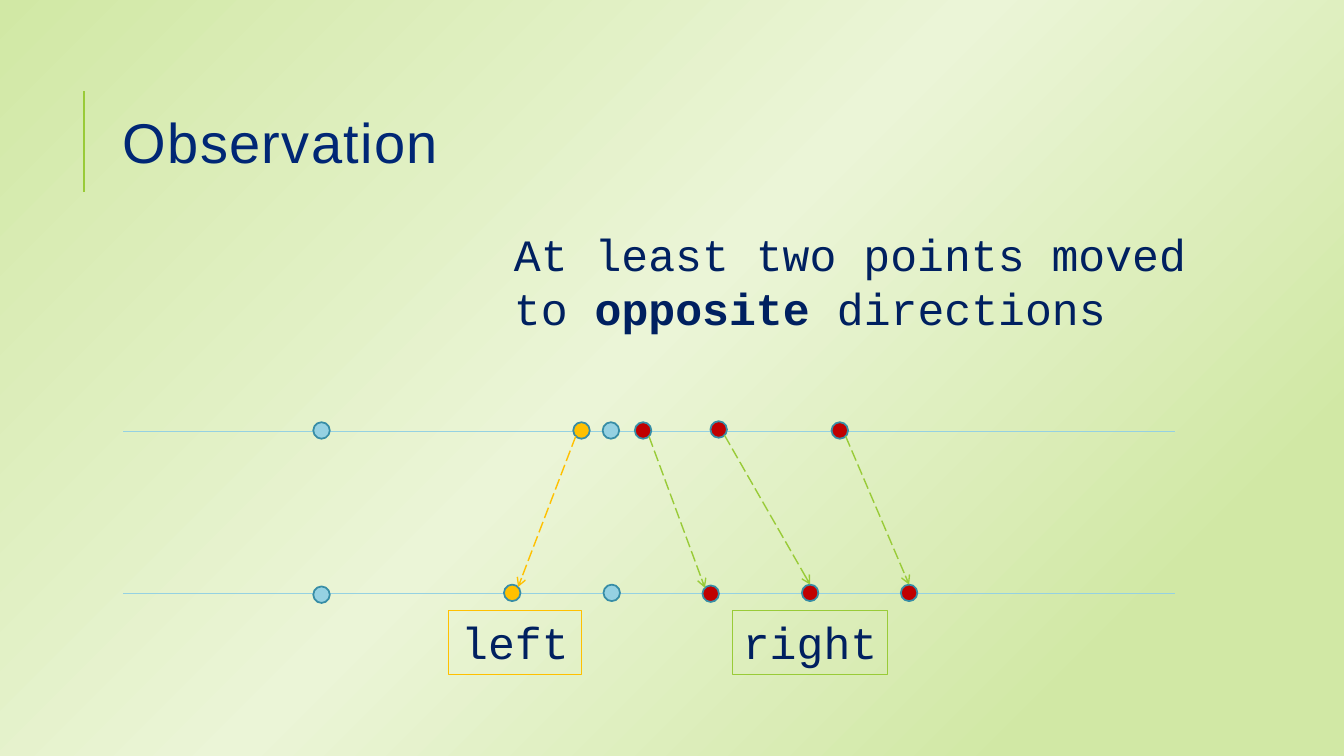
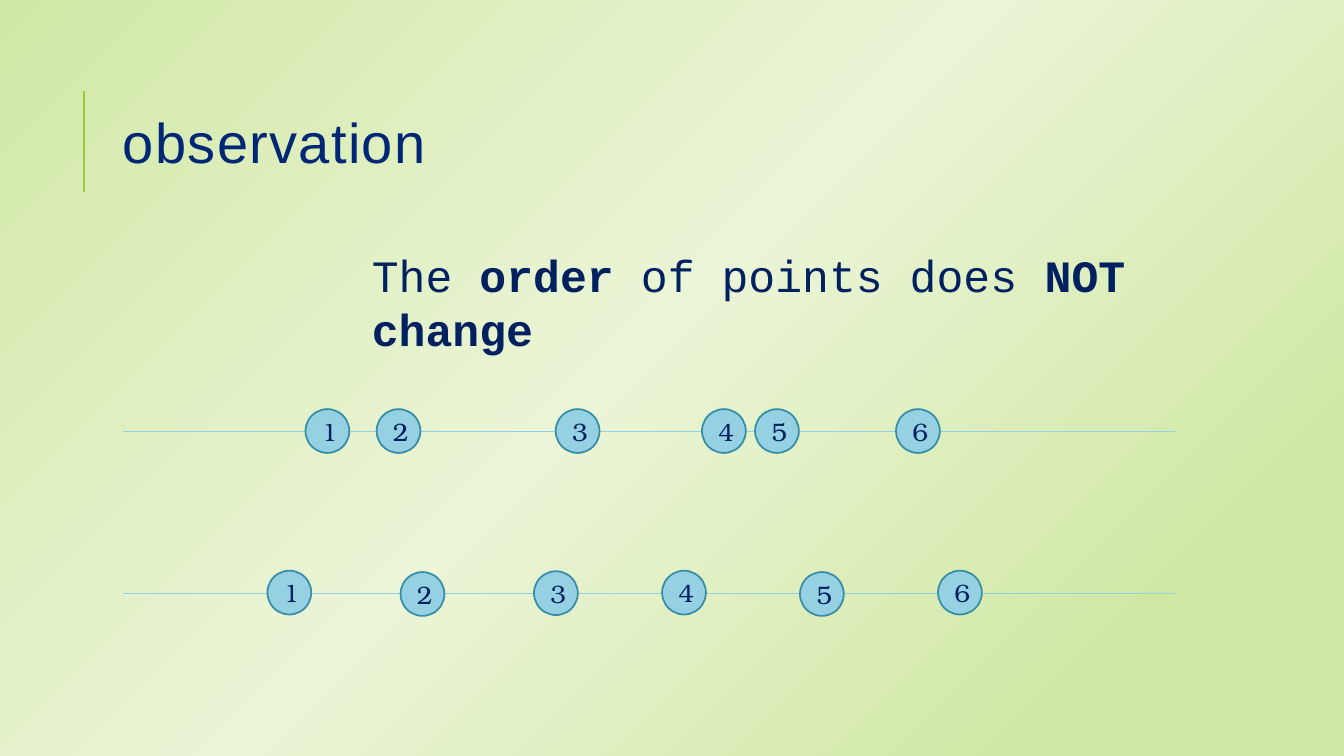
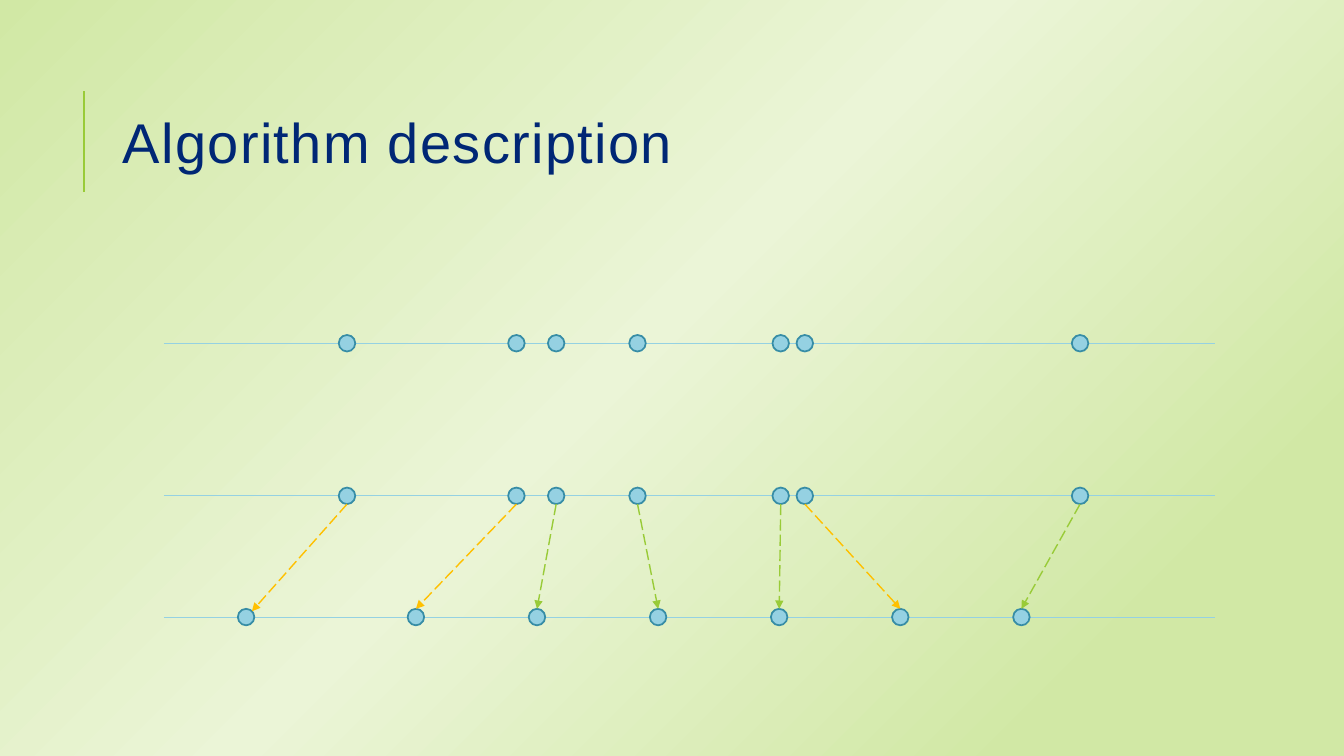
from math import sqrt

from lxml.etree import SubElement
from pptx import Presentation
from pptx.dml.color import RGBColor
from pptx.enum.dml import MSO_LINE
from pptx.enum.shapes import MSO_CONNECTOR, MSO_SHAPE
from pptx.enum.text import MSO_ANCHOR, MSO_AUTO_SIZE, PP_ALIGN
from pptx.oxml.ns import qn
from pptx.util import Pt

# Content: tracks hold a line height and dots (x, y, colour[, label]);
# moves join a dot of one track to a dot of the next, from site to site.
MIXED_START = [
    (229.7, 307.5, "sky"), (415.4, 307.5, "gold"), (436.4, 307.5, "sky"),
    (459.4, 307.5, "red"), (513.4, 306.8, "red"), (599.9, 307.5, "red"),
]
MIXED_END = [
    (229.7, 424.8, "sky"), (365.9, 423.5, "gold"), (437, 423.5, "sky"),
    (507.7, 424.1, "red"), (578.7, 423.5, "red"), (649.4, 423.5, "red"),
]
ORDER_START = [(x, 307.9, "sky", str(n)) for n, x in
               enumerate((233.9, 284.7, 412.6, 517.1, 555, 655.7), 1)]
ORDER_END = [(x, y, "sky", str(n)) for n, (x, y) in
             enumerate([(206.7, 423.3), (301.8, 424.3), (397.1, 423.7),
                        (488.6, 423.3), (587.1, 424.3), (685.7, 423.3)], 1)]
UNEVEN_X = (247.9, 368.9, 397.3, 455.4, 557.7, 574.9, 771.5)
EVEN_FIRST, EVEN_STEP = 297.1, 86.5
EVEN_X = [175.8] + [EVEN_FIRST + EVEN_STEP * n for n in range(6)]

SLIDES = [
    {
        "title": "Observation",
        "track_left": 88, "dot_size": 11.8, "head": "arrow",
        "tracks": [(308.2, MIXED_START), (424.2, MIXED_END)],
        "moves": [(0, 1, "gold", "bottom left", "top right"),
                  (0, 3, "green", "bottom right", "top left"),
                  (0, 4, "green", "bottom right", "top"),
                  (0, 5, "green", "bottom right", "top")],
        "statement": ((360, 158.4, 531.4, 85),
                      [("At least two points moved to ", False),
                       ("opposite", True), (" directions", False)]),
        "labels": [("left", "gold", (320.4, 435.8, 95, 46)),
                   ("right", "green", (523.2, 435.8, 111, 46))],
    },
    {
        "title": "observation",
        "track_left": 88, "dot_size": 31.3,
        "tracks": [(308.2, ORDER_START), (424.2, ORDER_END)],
        "statement": ((258.5, 173.5, 657.4, 46),
                      [("The ", False), ("order", True),
                       (" of points does ", False), ("NOT change", True)]),
    },
    {
        "title": "Algorithm description",
        "track_left": 117, "dot_size": 11.8, "head": "triangle",
        "tracks": [(245.4, [(x, 245.2, "sky") for x in UNEVEN_X]),
                   (354.1, [(x, 354.2, "sky") for x in UNEVEN_X]),
                   (441.2, [(x, 440.8, "sky") for x in EVEN_X])],
        "moves": [(1, n, "gold" if n in (0, 1, 5) else "green", "bottom",
                   "top" if n else "top right") for n in range(len(EVEN_X))],
    },
]


# Theme
class Theme:
    size = (960, 540)
    colours = {name: RGBColor.from_string(code) for name, code in {
        "sky": "95D1E2", "sky edge": "378DA6", "gold": "FFC000",
        "green": "99CB38", "red": "C00000", "title": "002775",
        "ink": "002060"}.items()}
    background = [(0, "D1E8A5"), (47, "EBF5D7"), (84, "D1E8A5")]
    title_box = (80.6, 46.1, 765.4, 118.1)
    accent = (60, 136.8, 60, 64.8)
    track_width = 751
    title_font = {"name": "Arial", "size": Pt(40)}
    body_font = {"name": "Courier New", "size": Pt(32)}
    number_font = {"name": "TeX Gyre Bonum", "size": Pt(18)}


DIAGONAL = 1 / sqrt(2)
SITES = {"top": (0, -1), "bottom": (0, 1),
         "top left": (-DIAGONAL, -DIAGONAL), "top right": (DIAGONAL, -DIAGONAL),
         "bottom left": (-DIAGONAL, DIAGONAL),
         "bottom right": (DIAGONAL, DIAGONAL)}


def points(values):
    return [Pt(round(value, 2)) for value in values]


def write(paragraph, runs, font, colour="ink"):
    for text, bold in runs:
        run = paragraph.add_run()
        run.text = text
        for key, value in {**font, "bold": bold}.items():
            setattr(run.font, key, value)
        run.font.color.rgb = Theme.colours[colour]


def set_line(line, colour, width):
    line.color.rgb = Theme.colours[colour]
    line.width = Pt(width)


def add_line(slide, ends, colour, width, head=None):
    line = slide.shapes.add_connector(MSO_CONNECTOR.STRAIGHT, *points(ends))
    set_line(line.line, colour, width)
    if head:
        line.line.dash_style = MSO_LINE.LONG_DASH
        SubElement(line.line._get_or_add_ln(), qn("a:tailEnd"), type=head)
    SubElement(line.element.spPr, qn("a:effectLst"))
    return line


def add_dot(slide, size, x, y, colour, number=None):
    dot = slide.shapes.add_shape(
        MSO_SHAPE.OVAL, *points((x - size / 2, y - size / 2, size, size)))
    dot.shadow.inherit = False
    dot.fill.solid()
    dot.fill.fore_color.rgb = Theme.colours[colour]
    set_line(dot.line, "sky edge", 1.25)
    if number:
        frame = dot.text_frame
        frame.vertical_anchor = MSO_ANCHOR.MIDDLE
        frame.paragraphs[0].alignment = PP_ALIGN.CENTER
        write(frame.paragraphs[0], [(number, False)], Theme.number_font)


def add_text(slide, box, runs, alignment=PP_ALIGN.LEFT, wrap=True):
    note = slide.shapes.add_textbox(*points(box))
    note.text_frame.word_wrap = wrap
    note.text_frame.auto_size = MSO_AUTO_SIZE.SHAPE_TO_FIT_TEXT
    note.text_frame.paragraphs[0].alignment = alignment
    write(note.text_frame.paragraphs[0], runs, Theme.body_font)
    return note


def set_background(master):
    fill = master.background.fill
    fill.gradient()
    fill.gradient_angle = 315
    stops = next(master.element.iter(qn("a:gsLst")))
    for stop in list(stops):
        stops.remove(stop)
    for position, code in Theme.background:
        stop = SubElement(stops, qn("a:gs"), pos=str(position * 1000))
        SubElement(stop, qn("a:srgbClr"), val=code)


def set_layout(layout):
    title = next(p for p in layout.placeholders
                 if p.placeholder_format.idx == 0)
    for side, value in zip(("left", "top", "width", "height"),
                           points(Theme.title_box)):
        setattr(title, side, value)


def add_title(slide, text):
    frame = slide.shapes.title.text_frame
    for key, value in {"vertical_anchor": MSO_ANCHOR.MIDDLE,
                       "auto_size": MSO_AUTO_SIZE.NONE,
                       "word_wrap": True}.items():
        setattr(frame, key, value)
    paragraph = frame.paragraphs[0]
    paragraph.alignment = PP_ALIGN.LEFT
    paragraph.line_spacing = 0.8
    write(paragraph, [(text, False)], Theme.title_font, "title")
    paragraph.runs[0].font._element.set("spc", "100")


def build_slide(slide, content):
    add_title(slide, content["title"])
    add_line(slide, Theme.accent, "green", 1.5)

    # Tracks with their dots
    left, size = content["track_left"], content["dot_size"]
    for y, dots in content["tracks"]:
        add_line(slide, (left, y, left + Theme.track_width, y), "sky", 0.75)
        for dot in dots:
            add_dot(slide, size, *dot)

    # Moves between neighbouring tracks
    for track, index, colour, start_site, end_site in content.get("moves", []):
        ends = []
        for level, site in ((track, start_site), (track + 1, end_site)):
            x, y = content["tracks"][level][1][index][:2]
            dx, dy = SITES[site]
            ends += [x + dx * size / 2, y + dy * size / 2]
        add_line(slide, ends, colour, 1, content["head"])

    # Statement and framed labels
    if "statement" in content:
        add_text(slide, *content["statement"])
    for text, colour, box in content.get("labels", []):
        label = add_text(slide, box, [(text, False)], PP_ALIGN.CENTER, False)
        set_line(label.line, colour, 0.75)


def main():
    deck = Presentation()
    deck.slide_width, deck.slide_height = points(Theme.size)
    set_background(deck.slide_master)
    title_only = deck.slide_layouts[5]
    set_layout(title_only)
    for content in SLIDES:
        build_slide(deck.slides.add_slide(title_only), content)
    deck.save("out.pptx")


if __name__ == "__main__":
    main()
